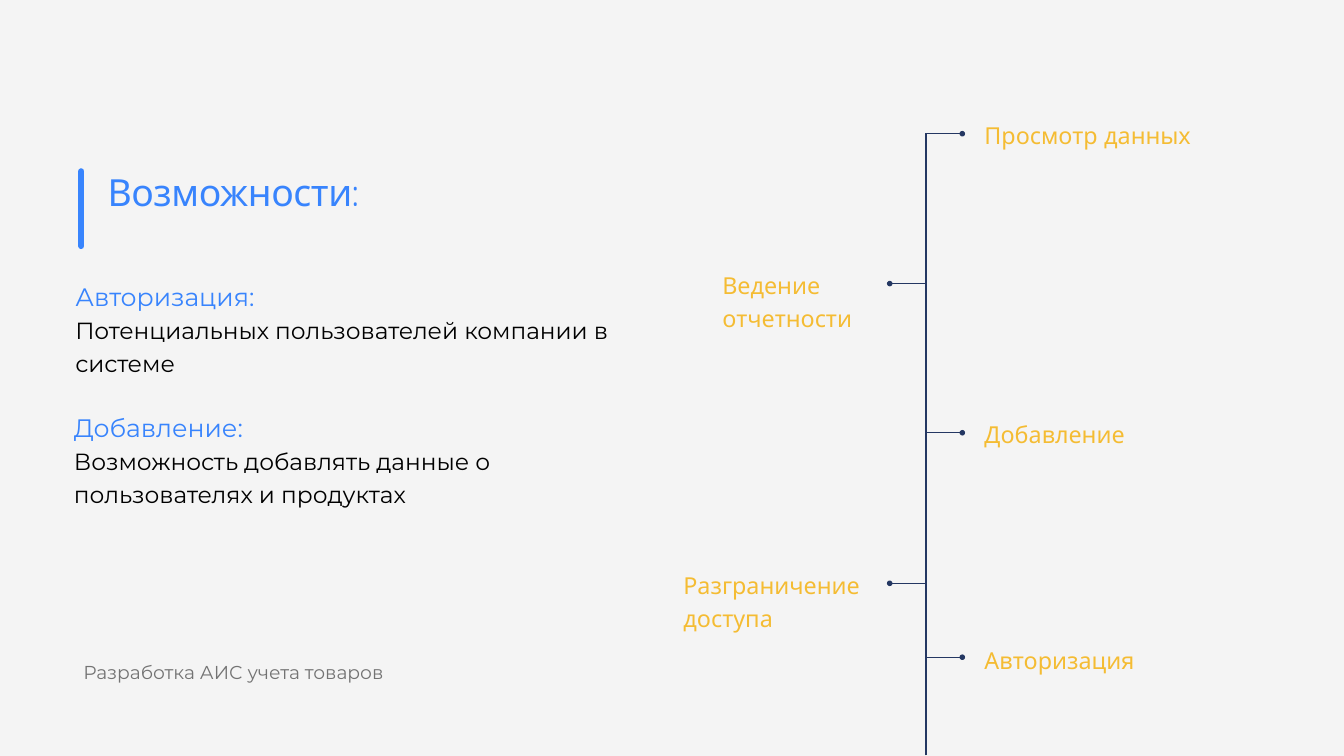
"""Build the slide listing the capabilities of a goods accounting system."""
from lxml import etree
from pptx import Presentation
from pptx.dml.color import RGBColor
from pptx.enum.shapes import MSO_CONNECTOR
from pptx.enum.text import MSO_ANCHOR, MSO_AUTO_SIZE, PP_ALIGN
from pptx.oxml.ns import qn
from pptx.util import Inches, Pt

STRAIGHT = MSO_CONNECTOR.STRAIGHT
TOP = MSO_ANCHOR.TOP
FIXED = MSO_AUTO_SIZE.NONE
LEFT, CENTER = PP_ALIGN.LEFT, PP_ALIGN.CENTER
TWO_CONTENT = 3

COLORS = {
    "background": "F4F4F4",
    "timeline": "243762",
    "accent": "3884FD",
    "label": "F4BC33",
    "body": "000000",
    "footer": "737373",
}


def write_text(holder, box, lines, font="Montserrat", align=LEFT, tracking=0):
    """Place a text holder and fill it with (text, size, spacing, color) lines."""
    holder.left, holder.top, holder.width, holder.height = map(Inches, box)
    frame = holder.text_frame
    frame.margin_left = frame.margin_right = frame.margin_top = frame.margin_bottom = 0
    frame.word_wrap, frame.auto_size, frame.vertical_anchor = True, FIXED, TOP
    for index, (text, size, spacing, color) in enumerate(lines):
        paragraph = frame.add_paragraph() if index else frame.paragraphs[0]
        paragraph.alignment = align
        paragraph.line_spacing = Pt(spacing)
        paragraph.space_before = paragraph.space_after = Pt(0)
        properties = paragraph._p.get_or_add_pPr()
        properties.set("marL", "0")
        properties.set("indent", "0")
        etree.SubElement(properties, qn("a:buNone"))
        run = paragraph.add_run()
        run.text = text
        run.font.name, run.font.size, run.font.bold = font, Pt(size), False
        run.font.color.rgb = RGBColor.from_string(COLORS[color])
        if tracking:
            run.font._element.set("spc", str(round(tracking * 100)))


def draw_line(start, end, color, width, dot=False, cap="flat"):
    """Draw a straight line, with an optional dot at its end."""
    line = slide.shapes.add_connector(STRAIGHT, *map(Inches, start + end))
    line.line.color.rgb = RGBColor.from_string(COLORS[color])
    line.line.width = Pt(width)
    properties = line.element.spPr
    outline = properties.find(qn("a:ln"))
    outline.set("cap", cap)
    if dot:
        etree.SubElement(outline, qn("a:tailEnd"), type="oval")
    etree.SubElement(properties, qn("a:effectLst"))


presentation = Presentation()
presentation.slide_width = Inches(20)
presentation.slide_height = Inches(11.25)
slide = presentation.slides.add_slide(presentation.slide_layouts[TWO_CONTENT])
slide.background.fill.solid()
slide.background.fill.fore_color.rgb = RGBColor.from_string(COLORS["background"])
heading, *sections = slide.placeholders

spine_x, branch_length = 13.78, 0.54
draw_line((spine_x, 11.24), (spine_x, 1.98), "timeline", 1.5)
branches = [
    ("Просмотр данных", 1.99, 1, (14.65, 1.74, 3.37, 0.47)),
    ("Ведение отчетности", 4.22, -1, (10.75, 3.97, 2.35, 0.99)),
    ("Добавление", 6.44, 1, (14.65, 6.19, 3.37, 0.47)),
    ("Разграничение доступа", 8.68, -1, (10.17, 8.43, 3.07, 0.98)),
    ("Авторизация", 9.78, 1, (14.65, 9.54, 3.19, 0.49)),
]
for label, y, side, box in branches:
    draw_line((spine_x, y), (spine_x + side * branch_length, y), "timeline", 1.5, dot=True)
    caption = slide.shapes.add_textbox(*map(Inches, box))
    write_text(caption, box, [(label, 25, 35, "label")], font="Quicksand")

draw_line((1.21, 2.55), (1.21, 3.66), "accent", 6.75, cap="rnd")
write_text(heading, (1.6, 2.58, 7.14, 1.23), [("Возможности:", 40, 44, "accent")],
           font="Quicksand", tracking=-0.4)

capabilities = [
    ("Авторизация:", "Потенциальных пользователей компании в системе", 1.12, 4.11),
    ("Добавление:", "Возможность добавлять данные о пользователях и продуктах", 1.1, 6.06),
]
for section, (name, description, left, top) in zip(sections, capabilities):
    write_text(section, (left, top, 8.12, 1.51),
               [(name, 27, 37.8, "accent"), (description, 25, 35, "body")])

footer_box = (1.12, 9.78, 4.71, 0.39)
footer = slide.shapes.add_textbox(*map(Inches, footer_box))
write_text(footer, footer_box, [("Разработка АИС учета товаров", 20, 28, "footer")], align=CENTER)

presentation.save("out.pptx")
